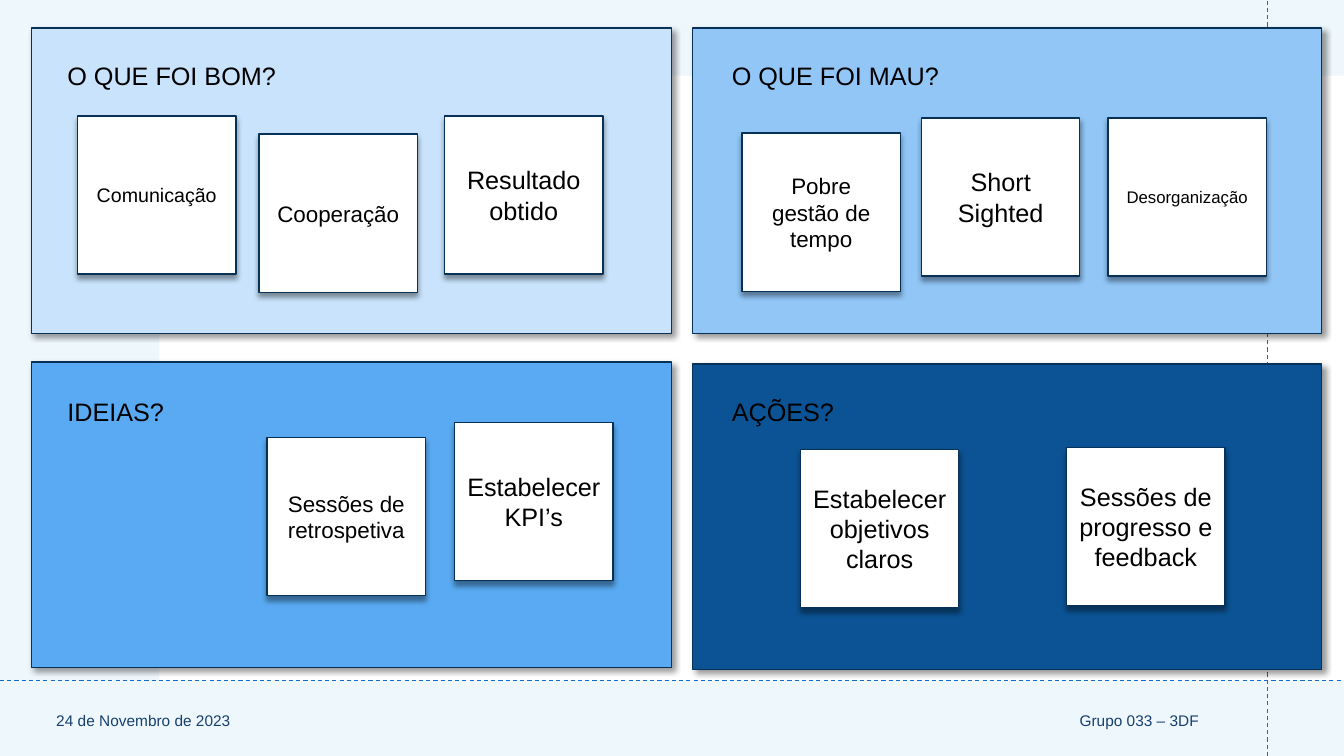
"""Build a four-panel sprint retrospective board with sticky notes."""
from dataclasses import dataclass

from lxml import etree
from pptx import Presentation
from pptx.dml.color import RGBColor
from pptx.enum.dml import MSO_LINE
from pptx.enum.shapes import MSO_CONNECTOR, MSO_SHAPE
from pptx.enum.text import MSO_ANCHOR, MSO_AUTO_SIZE, PP_ALIGN
from pptx.oxml.ns import qn
from pptx.shapes.autoshape import Shape
from pptx.slide import Slide
from pptx.text.text import TextFrame
from pptx.util import Inches, Pt

RECT = MSO_SHAPE.RECTANGLE
STRAIGHT = MSO_CONNECTOR.STRAIGHT
DASH = MSO_LINE.DASH
MIDDLE, TOP = MSO_ANCHOR.MIDDLE, MSO_ANCHOR.TOP
LEFT, CENTER, RIGHT = PP_ALIGN.LEFT, PP_ALIGN.CENTER, PP_ALIGN.RIGHT
FIT_SHAPE = MSO_AUTO_SIZE.SHAPE_TO_FIT_TEXT

WHITE = RGBColor(0xFF, 0xFF, 0xFF)
BLACK = RGBColor(0x00, 0x00, 0x00)
TINT = RGBColor(0xDB, 0xEF, 0xF9)
GUIDE = RGBColor(0x0F, 0x6F, 0xC6)
FOOTER = RGBColor(0x17, 0x40, 0x6D)
OUTLINE = RGBColor(0x07, 0x31, 0x57)
PALE = RGBColor(0xC8, 0xE3, 0xFB)
LIGHT = RGBColor(0x91, 0xC6, 0xF7)
BRIGHT = RGBColor(0x59, 0xAA, 0xF2)
DEEP = RGBColor(0x0B, 0x53, 0x94)

FONT = "Arial"
SLIDE_W, SLIDE_H = 13.33, 7.5
GUIDE_X, GUIDE_Y = 12.57, 6.75
PANEL_H = 3.03
NOTE_SIZE = 1.57


@dataclass
class Panel:
    title: str
    left: float
    top: float
    width: float
    fill: RGBColor
    title_left: float
    title_top: float


@dataclass
class Note:
    left: float
    top: float
    size: int
    lines: tuple[str, ...]


PANELS = [
    Panel("O QUE FOI BOM?", 0.31, 0.28, 6.35, PALE, 0.57, 0.55),
    Panel("O QUE FOI MAU?", 6.87, 0.28, 6.24, LIGHT, 7.16, 0.55),
    Panel("IDEIAS?", 0.31, 3.59, 6.35, BRIGHT, 0.57, 3.88),
    Panel("AÇÕES?", 6.87, 3.61, 6.24, DEEP, 7.16, 3.88),
]

NOTES = [
    Note(0.77, 1.15, 14, ("Comunicação",)),
    Note(2.57, 1.33, 16, ("Cooperação",)),
    Note(4.41, 1.15, 18, ("Resultado", "obtido")),
    Note(7.36, 1.32, 16, ("Pobre", "gestão de", "tempo")),
    Note(9.14, 1.17, 18, ("Short", "Sighted")),
    Note(10.99, 1.17, 12, ("Desorganização",)),
    Note(2.65, 4.34, 16, ("Sessões de retrospetiva",)),
    Note(4.51, 4.19, 18, ("Estabelecer KPI’s",)),
    Note(7.94, 4.46, 18, ("Estabelecer", "objetivos", "claros")),
    Note(10.58, 4.44, 18, ("Sessões de progresso e feedback",)),
]


def add_rect(s: Slide, left: float, top: float, width: float, height: float,
             fill: RGBColor) -> Shape:
    sp = s.shapes.add_shape(RECT, Inches(left), Inches(top), Inches(width), Inches(height))
    sp.fill.solid()
    sp.fill.fore_color.rgb = fill
    sp.line.fill.background()
    sp.shadow.inherit = False
    return sp


def add_alpha(color: etree._Element, percent: int) -> None:
    etree.SubElement(color, qn("a:alpha"), val=str(percent * 1000))


def add_raised_rect(s: Slide, left: float, top: float, width: float, height: float,
                    fill: RGBColor, angle: int) -> Shape:
    sp = add_rect(s, left, top, width, height, fill)
    sp.line.color.rgb = OUTLINE
    sp.line.width = Pt(1)
    effects = sp._element.spPr.find(qn("a:effectLst"))
    shadow = etree.SubElement(effects, qn("a:outerShdw"), blurRad=str(Pt(4)),
                              dist=str(Pt(3)), dir=str(angle * 60000),
                              algn="ctr", rotWithShape="0")
    add_alpha(etree.SubElement(shadow, qn("a:srgbClr"), val=str(BLACK)), 40)
    return sp


def add_guide(s: Slide, x1: float, y1: float, x2: float, y2: float) -> None:
    line = s.shapes.add_connector(STRAIGHT, Inches(x1), Inches(y1), Inches(x2), Inches(y2))
    line.line.color.rgb = GUIDE
    line.line.width = Pt(0.75)
    line.line.dash_style = DASH
    etree.SubElement(line._element.spPr, qn("a:effectLst"))


def write(tf: TextFrame, lines: tuple[str, ...], size: int, color: RGBColor,
          align: PP_ALIGN, anchor: MSO_ANCHOR) -> None:
    tf.word_wrap = True
    tf.vertical_anchor = anchor
    for i, text in enumerate(lines):
        p = tf.add_paragraph() if i else tf.paragraphs[0]
        p.text = text
        p.alignment = align
        p.font.name = FONT
        p.font.size = Pt(size)
        p.font.color.rgb = color


def add_text(s: Slide, left: float, top: float, width: float, height: float, text: str,
             size: int, color: RGBColor, align: PP_ALIGN, anchor: MSO_ANCHOR) -> Shape:
    sp = s.shapes.add_textbox(Inches(left), Inches(top), Inches(width), Inches(height))
    write(sp.text_frame, (text,), size, color, align, anchor)
    return sp


def add_backdrop(s: Slide) -> None:
    tint = add_rect(s, 0, 0, SLIDE_W, SLIDE_H, TINT)
    add_alpha(tint._element.spPr.find(qn("a:solidFill"))[0], 45)
    add_rect(s, 1.58, 0.75, SLIDE_W - 1.58, 6, WHITE)
    add_guide(s, GUIDE_X, SLIDE_H, GUIDE_X, 0)
    add_guide(s, 0, GUIDE_Y, SLIDE_W, GUIDE_Y)
    add_text(s, 0.46, 6.8, 3, 0.7, "24 de Novembro de 2023", 11, FOOTER, LEFT, MIDDLE)
    add_text(s, 4.12, 6.8, 7.87, 0.7, "Grupo 033 – 3DF", 11, FOOTER, RIGHT, MIDDLE)


def add_panel(s: Slide, panel: Panel) -> None:
    add_raised_rect(s, panel.left, panel.top, panel.width, PANEL_H, panel.fill, 45)
    title = add_text(s, panel.title_left, panel.title_top, 3.55, 0.4, panel.title,
                     18, BLACK, LEFT, TOP)
    title.text_frame.auto_size = FIT_SHAPE


def add_note(s: Slide, note: Note) -> None:
    sp = add_raised_rect(s, note.left, note.top, NOTE_SIZE, NOTE_SIZE, WHITE, 90)
    write(sp.text_frame, note.lines, note.size, BLACK, CENTER, MIDDLE)


def main() -> None:
    prs = Presentation()
    prs.slide_width, prs.slide_height = Inches(SLIDE_W), Inches(SLIDE_H)
    s = prs.slides.add_slide(prs.slide_layouts[6])
    add_backdrop(s)
    for panel in PANELS:
        add_panel(s, panel)
    for note in NOTES:
        add_note(s, note)
    prs.save("out.pptx")


if __name__ == "__main__":
    main()
